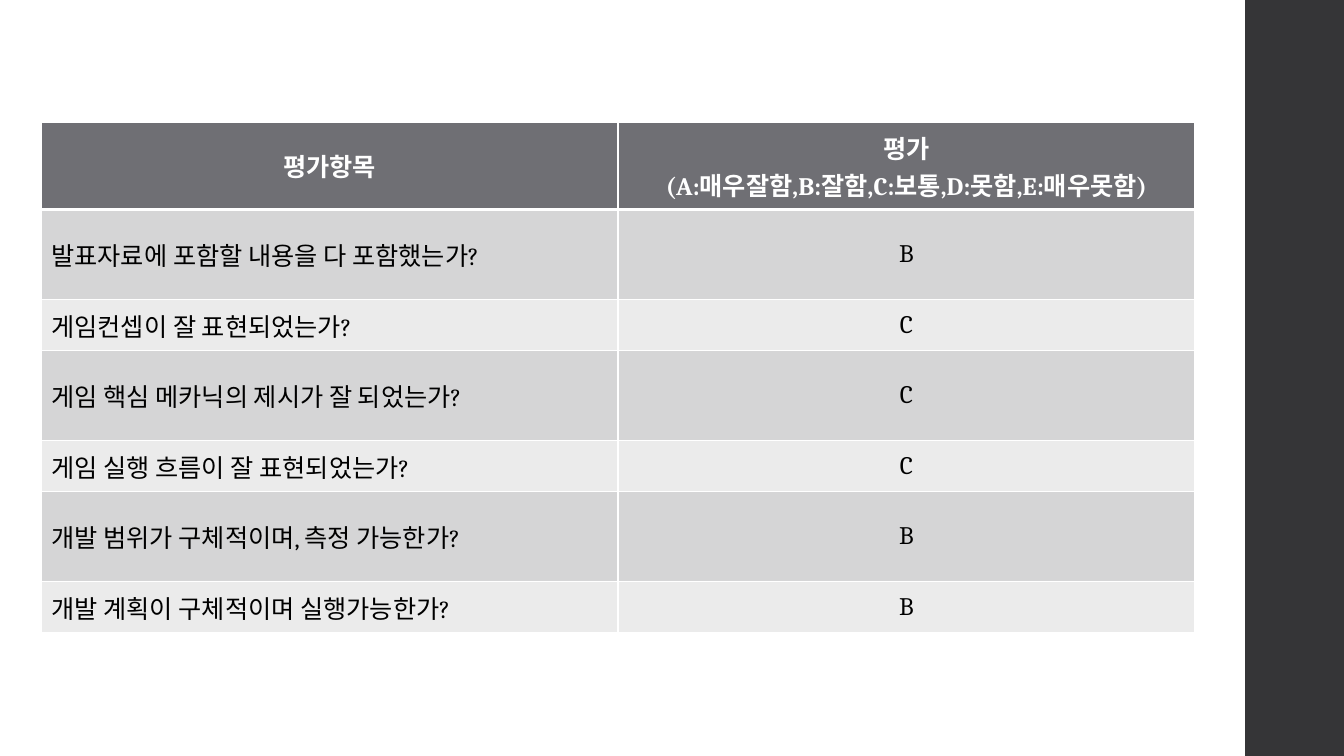
from lxml.etree import SubElement
from pptx import Presentation
from pptx.dml.color import RGBColor
from pptx.enum.shapes import MSO_SHAPE
from pptx.enum.text import MSO_ANCHOR, PP_ALIGN
from pptx.oxml.ns import qn
from pptx.util import Inches, Pt

WIDTH, HEIGHT = Inches(13.33), Inches(7.5)
FONT = "Cambria"
HEADER_FILL = "6F6F74"
BAND_FILLS = ("D5D5D6", "EBEBEB")
HEADER_HEIGHT = 0.87
BAND_HEIGHTS = (0.89, 0.51)

HEADERS = ("평가항목", "평가\n(A:매우잘함,B:잘함,C:보통,D:못함,E:매우못함)")
RATINGS = (
    ("발표자료에 포함할 내용을 다 포함했는가?", "B"),
    ("게임컨셉이 잘 표현되었는가?", "C"),
    ("게임 핵심 메카닉의 제시가 잘 되었는가?", "C"),
    ("게임 실행 흐름이 잘 표현되었는가?", "C"),
    ("개발 범위가 구체적이며, 측정 가능한가?", "B"),
    ("개발 계획이 구체적이며 실행가능한가?", "B"),
)


def paint(fill, color):
    fill.solid()
    fill.fore_color.rgb = RGBColor.from_string(color)


def add_side_band(slide):
    left = Inches(12.35)
    band = slide.shapes.add_shape(MSO_SHAPE.RECTANGLE, left, 0, Inches(1), HEIGHT)
    band.shadow.inherit = False
    paint(band.fill, "353537")
    band.line.fill.background()


def set_borders(cell, top=1, bottom=1):
    """Draw white borders; widths are in points. Call before filling the cell."""
    properties = cell._tc.get_or_add_tcPr()
    for side, width in (("L", 1), ("R", 1), ("T", top), ("B", bottom)):
        line = SubElement(properties, qn(f"a:ln{side}"), w=str(Pt(width)))
        fill = SubElement(line, qn("a:solidFill"))
        SubElement(fill, qn("a:srgbClr"), val="FFFFFF")


def fill_cell(cell, text, color, fill, alignment, bold):
    cell.text = text
    cell.vertical_anchor = MSO_ANCHOR.MIDDLE
    paint(cell.fill, fill)
    for paragraph in cell.text_frame.paragraphs:
        paragraph.alignment = alignment
        paragraph.font.name = FONT
        paragraph.font.size = Pt(18)
        paragraph.font.bold = bold
        paragraph.font.color.rgb = RGBColor.from_string(color)


def add_rating_table(slide):
    rows = (HEADERS, *RATINGS)
    frame = slide.shapes.add_table(
        len(rows), len(HEADERS), Inches(0.41), Inches(1.21), Inches(11.44), Inches(5.07)
    )
    table = frame.table
    for row_index, texts in enumerate(rows):
        is_header = row_index == 0
        band = (row_index - 1) % 2
        height = HEADER_HEIGHT if is_header else BAND_HEIGHTS[band]
        table.rows[row_index].height = Inches(height)
        for column_index, text in enumerate(texts):
            cell = table.cell(row_index, column_index)
            set_borders(cell, top=3 if row_index == 1 else 1, bottom=3 if is_header else 1)
            centred = is_header or column_index == 1
            fill_cell(
                cell,
                text,
                color="FFFFFF" if is_header else "000000",
                fill=HEADER_FILL if is_header else BAND_FILLS[band],
                alignment=PP_ALIGN.CENTER if centred else PP_ALIGN.LEFT,
                bold=is_header,
            )


def main():
    presentation = Presentation()
    presentation.slide_width, presentation.slide_height = WIDTH, HEIGHT
    slide = presentation.slides.add_slide(presentation.slide_layouts[6])
    add_side_band(slide)
    add_rating_table(slide)
    presentation.save("out.pptx")


if __name__ == "__main__":
    main()
